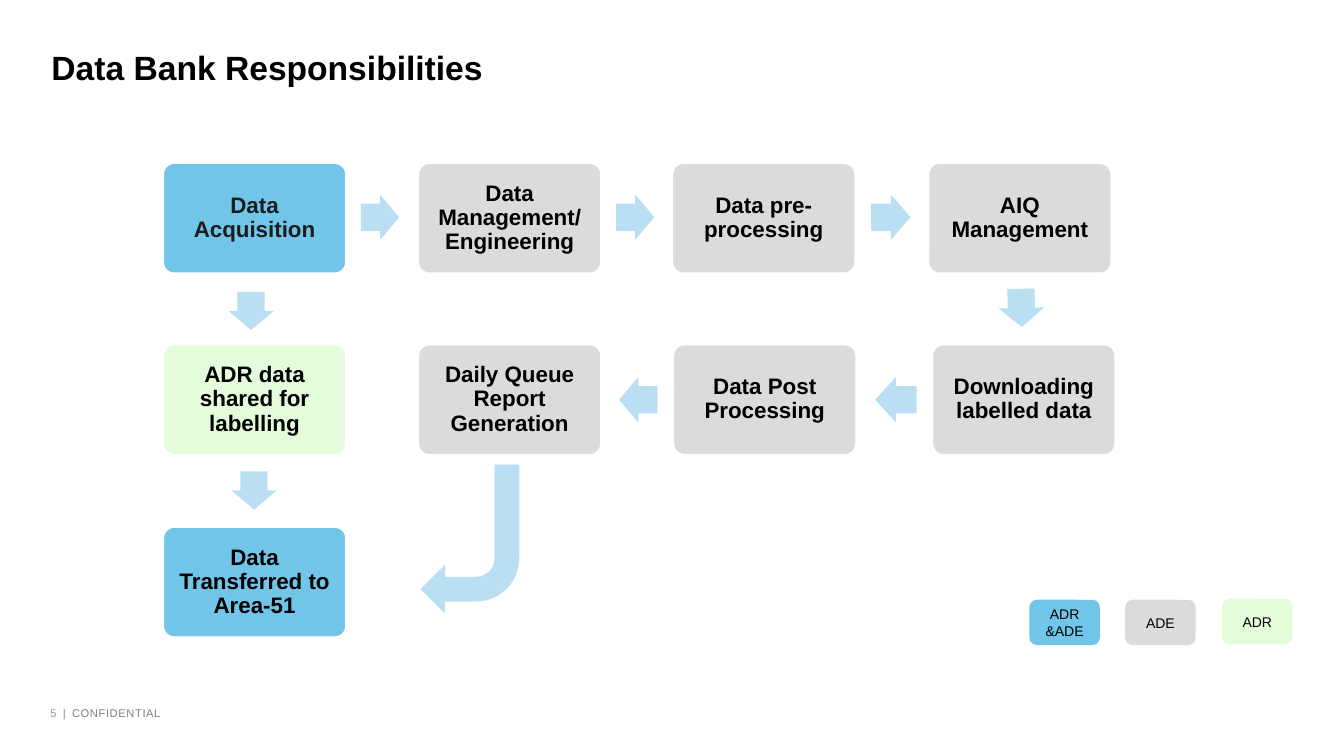
from pptx import Presentation
from pptx.dml.color import RGBColor
from pptx.enum.shapes import MSO_SHAPE as SHAPE
from pptx.enum.text import MSO_ANCHOR as ANCHOR, PP_ALIGN as ALIGN
from pptx.util import Pt

PX = 9144
BLUE, GREY, GREEN, ARROW = "71C5E8", "DBDBDB", "E5FCDB", "BBDFF2"


def rgb(code):
    return RGBColor.from_string(code)


def add_block(kind, left, top, width, height, fill):
    block = slide.shapes.add_shape(kind, left * PX, top * PX, width * PX, height * PX)
    block.shadow.inherit = False
    block.fill.solid()
    block.fill.fore_color.rgb = rgb(fill)
    block.line.fill.background()
    return block


deck = Presentation()
deck.slide_width, deck.slide_height = 1333 * PX, 750 * PX
slide = deck.slides.add_slide(deck.slide_layouts[5])

title = slide.shapes.title
title.left, title.top, title.width, title.height = 51 * PX, 51 * PX, 1131 * PX, 46 * PX
heading = title.text_frame
heading.text = "Data Bank Responsibilities"
heading.margin_left = heading.margin_right = heading.margin_top = heading.margin_bottom = 0
heading.vertical_anchor = ANCHOR.TOP
heading.paragraphs[0].alignment = ALIGN.LEFT
heading.paragraphs[0].line_spacing = 0.9
heading_font = heading.paragraphs[0].runs[0].font
heading_font.name, heading_font.size, heading_font.bold = "Arial", Pt(24), True
heading_font.color.rgb = rgb("000000")

steps = [
    ("Data Acquisition", 162, 162, BLUE, "1D1C1D"),
    ("Data Management/ Engineering", 415, 162, GREY, "000000"),
    ("Data pre-processing", 667, 162, GREY, "000000"),
    ("AIQ Management", 921, 162, GREY, "000000"),
    ("Downloading labelled data", 925, 342, GREY, "000000"),
    ("Data Post Processing", 668, 342, GREY, "000000"),
    ("Daily Queue Report Generation", 415, 342, GREY, "000000"),
    ("ADR data shared for labelling", 162, 342, GREEN, "000000"),
    ("Data Transferred to Area-51", 162, 523, BLUE, "000000"),
]
legend = [
    ("ADR &ADE", 1021, 595, BLUE, "000000"),
    ("ADE", 1116, 595, GREY, "000000"),
    ("ADR", 1212, 594, GREEN, "000000"),
]
for boxes, width, height, size, is_step in (
    (steps, 181, 109, 16, True),
    (legend, 70, 45, 10, False),
):
    for label, left, top, fill, ink in boxes:
        box = add_block(SHAPE.ROUNDED_RECTANGLE, left, top, width, height, fill)
        frame = box.text_frame
        frame.text = label
        frame.word_wrap = True
        frame.vertical_anchor = ANCHOR.MIDDLE
        frame.margin_left = frame.margin_right = 10 * PX
        paragraph = frame.paragraphs[0]
        paragraph.alignment = ALIGN.CENTER
        font = paragraph.runs[0].font
        font.name, font.size, font.bold = "Arial", Pt(size), is_step
        font.color.rgb = rgb(ink)
        if is_step:
            box.adjustments[0] = 0.1
            box.line.color.rgb = rgb("FFFFFF")
            box.line.width = Pt(1)
            paragraph.line_spacing = 0.9

for left, top, width, turn in (
    (358, 193, 38, 0),
    (611, 193, 38, 0),
    (864, 193, 39, 0),
    (994, 283, 38, 88.7),
    (868, 374, 41, 180),
    (614, 374, 38, 180),
    (230, 286, 38, 90),
    (233, 464, 38, 90),
):
    arrow = add_block(SHAPE.RIGHT_ARROW, left, top, width, 45, ARROW)
    arrow.adjustments[0] = 0.6
    arrow.adjustments[1] = 0.5
    arrow.rotation = turn

report_arrow = add_block(SHAPE.BENT_ARROW, 417, 461, 98, 148, ARROW)
report_arrow.rotation = 180

footer = slide.shapes.add_textbox(50 * PX, 701 * PX, 173 * PX, 13 * PX).text_frame
footer.margin_left = footer.margin_right = footer.margin_top = footer.margin_bottom = 0
footer.word_wrap = True
for words, ink, tracking in (
    ("5 ", "999999", 110),
    ("| ", "808080", 110),
    ("CONFIDENTIAL", "7F7F7F", 40),
):
    run = footer.paragraphs[0].add_run()
    run.text = words
    run.font.name, run.font.size = "Arial", Pt(8)
    run.font.color.rgb = rgb(ink)
    run.font._element.set("spc", str(tracking))

deck.save("out.pptx")
